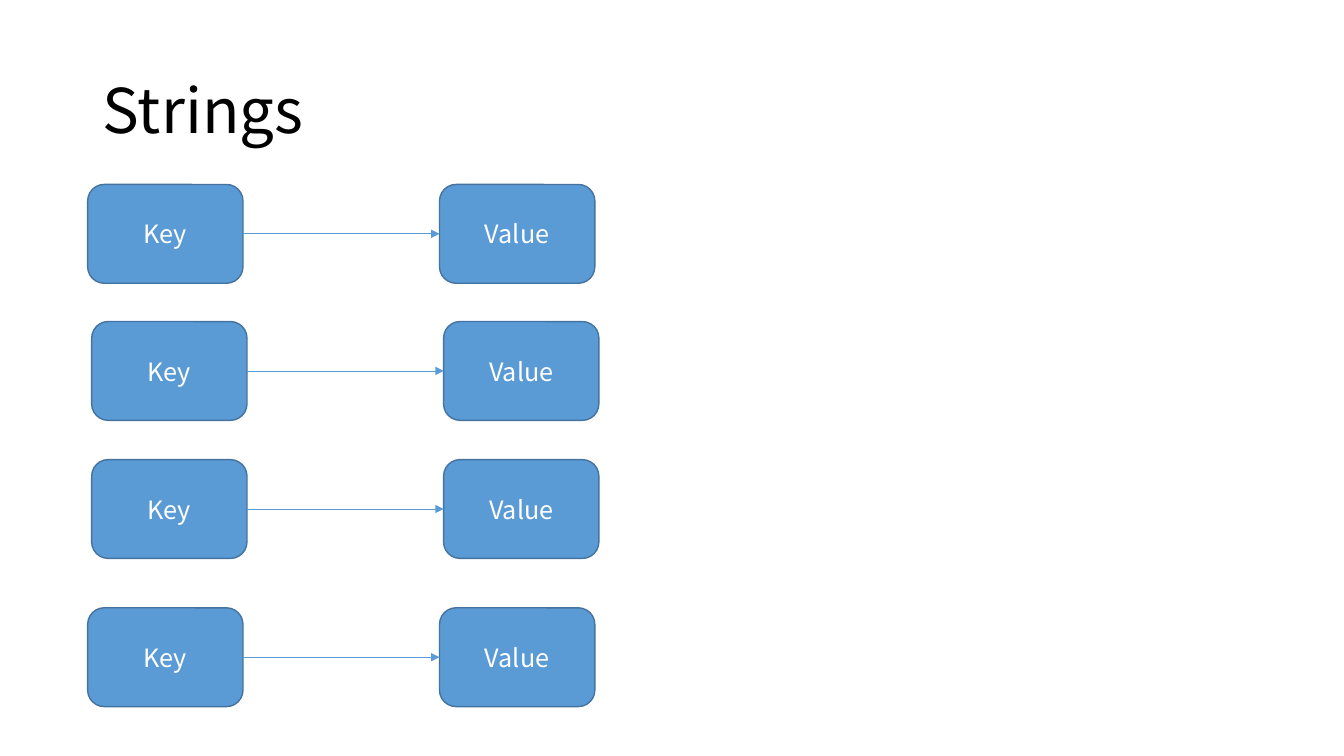
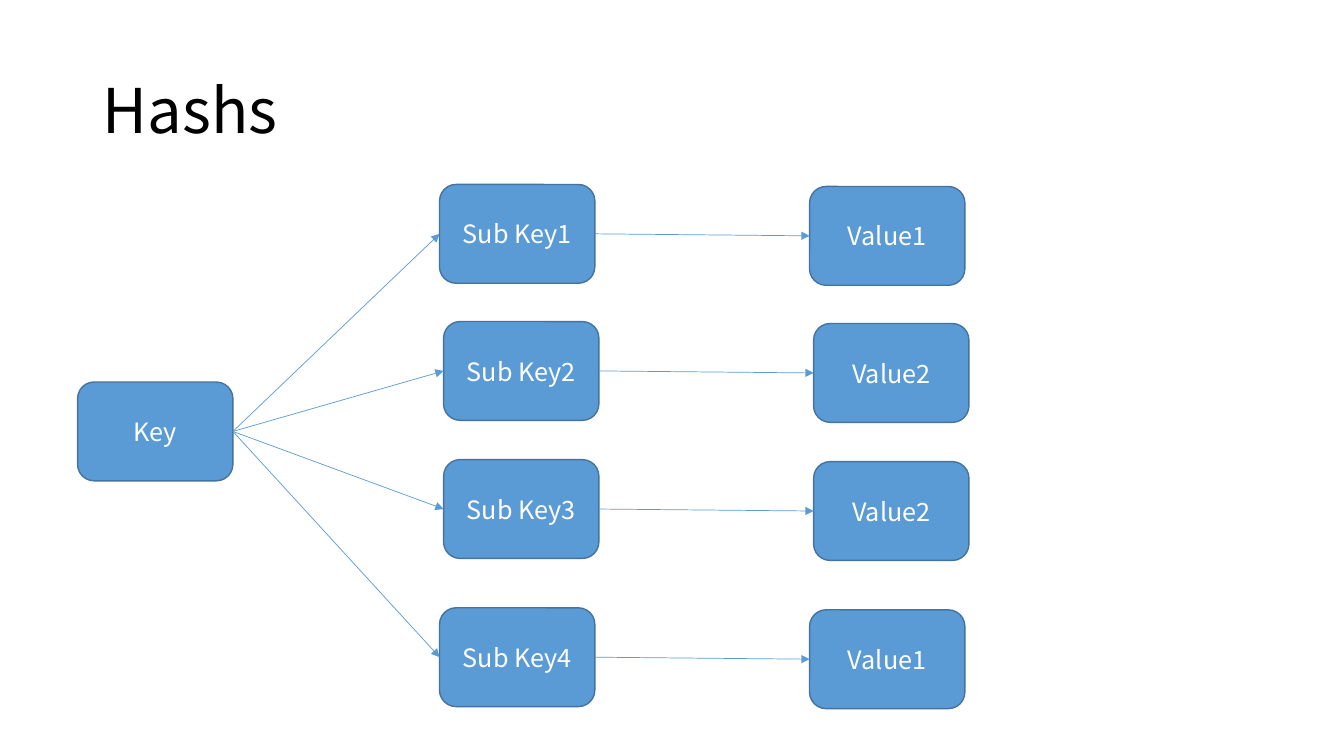
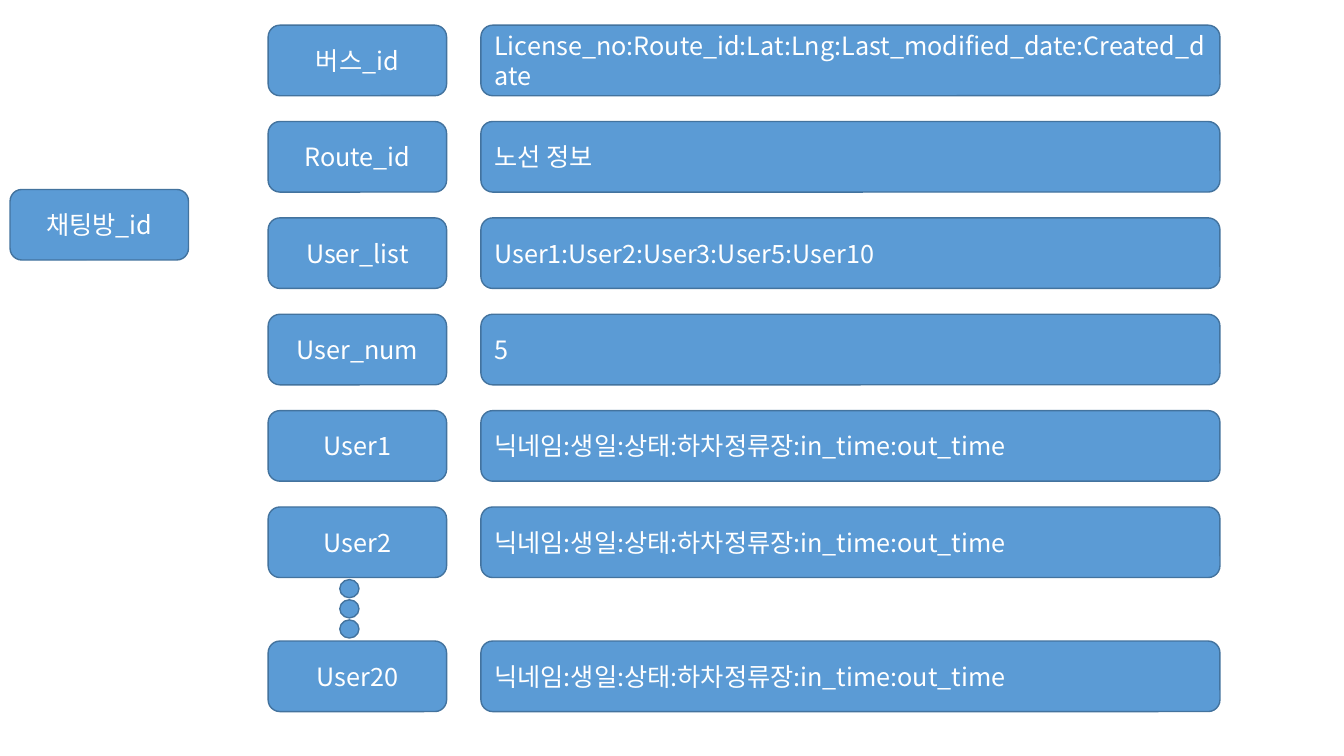
from dataclasses import dataclass

from lxml import etree
from pptx import Presentation
from pptx.dml.color import RGBColor
from pptx.enum.shapes import MSO_CONNECTOR, MSO_SHAPE
from pptx.enum.text import MSO_ANCHOR, MSO_AUTO_SIZE, PP_ALIGN
from pptx.oxml.ns import qn
from pptx.util import Inches, Pt

ROUNDED = MSO_SHAPE.ROUNDED_RECTANGLE
OVAL = MSO_SHAPE.OVAL
STRAIGHT = MSO_CONNECTOR.STRAIGHT
MIDDLE = MSO_ANCHOR.MIDDLE
NO_FIT = MSO_AUTO_SIZE.NONE
LEFT = PP_ALIGN.LEFT
CENTER = PP_ALIGN.CENTER
TITLE_ONLY, BLANK = 5, 6
LEFT_SITE, RIGHT_SITE = 1, 3


@dataclass(frozen=True)
class Theme:
    font: str = "Noto Sans CJK KR"
    fill: RGBColor = RGBColor(0x5B, 0x9B, 0xD5)
    outline: RGBColor = RGBColor(0x43, 0x73, 0x9E)
    title_color: RGBColor = RGBColor(0, 0, 0)
    node_color: RGBColor = RGBColor(0xFF, 0xFF, 0xFF)
    title_size: float = 44
    node_size: float = 18
    outline_width: float = 1
    arrow_width: float = 0.5


@dataclass(frozen=True)
class Box:
    left: float
    top: float
    width: float
    height: float

    def inside(self, left, top, width, height):
        return Box(self.left + left, self.top + top, width, height)

    def lengths(self):
        return [Inches(value) for value in (self.left, self.top, self.width, self.height)]


THEME = Theme()
TITLE_BOX = Box(0.92, 0.4, 11.5, 1.45)
DIAGRAM = Box(0.77, 1.83, 8.84, 5.2)
RECORD = Box(0.1, 0.25, 12, 6.81)
NODE_WIDTH, NODE_HEIGHT = 1.54, 0.98
NODE_ROWS = [(0, 0), (0.04, 1.36), (0.04, 2.73), (0, 4.2)]
FIELD_HEIGHT, FIELD_PITCH = 0.7, 0.956
PROFILE = "닉네임:생일:상태:하차정류장:in_time:out_time"
FIELDS = [
    ("버스_id", "License_no:Route_id:Lat:Lng:Last_modified_date:Created_date"),
    ("Route_id", "노선 정보"),
    ("User_list", "User1:User2:User3:User5:User10"),
    ("User_num", "5"),
    ("User1", PROFILE),
    ("User2", PROFILE),
]
LAST_FIELD = ("User20", PROFILE)


def write(frame, text, size, color, align):
    frame.word_wrap = True
    frame.auto_size = NO_FIT
    frame.vertical_anchor = MIDDLE
    para = frame.paragraphs[0]
    para.alignment = align
    span = para.add_run()
    span.text = text
    span.font.name = THEME.font
    span.font.size = Pt(size)
    span.font.color.rgb = color
    east_asian = etree.SubElement(span.font._element, qn("a:ea"))
    east_asian.set("typeface", THEME.font)
    return para


def add_figure(page, kind, box):
    shape = page.shapes.add_shape(kind, *box.lengths())
    shape.shadow.inherit = False
    shape.fill.solid()
    shape.fill.fore_color.rgb = THEME.fill
    shape.line.color.rgb = THEME.outline
    shape.line.width = Pt(THEME.outline_width)
    return shape


def add_node(page, box, text, align=CENTER):
    node = add_figure(page, ROUNDED, box)
    write(node.text_frame, text, THEME.node_size, THEME.node_color, align)
    return node


def add_arrow(page, source, target):
    arrow = page.shapes.add_connector(STRAIGHT, 0, 0, 0, 0)
    arrow.begin_connect(source, RIGHT_SITE)
    arrow.end_connect(target, LEFT_SITE)
    arrow.line.color.rgb = THEME.fill
    arrow.line.width = Pt(THEME.arrow_width)
    etree.SubElement(arrow.line._get_or_add_ln(), qn("a:tailEnd")).set("type", "triangle")
    etree.SubElement(arrow._element.spPr, qn("a:effectLst"))


def add_titled_page(deck, text):
    page = deck.slides.add_slide(deck.slide_layouts[TITLE_ONLY])
    title = page.shapes.title
    title.left, title.top, title.width, title.height = TITLE_BOX.lengths()
    para = write(title.text_frame, text, THEME.title_size, THEME.title_color, LEFT)
    para.line_spacing = 0.9
    return page


def add_node_column(page, box, left, texts, drop=0):
    return [
        add_node(page, box.inside(left + shift, top + drop, NODE_WIDTH, NODE_HEIGHT), text)
        for (shift, top), text in zip(NODE_ROWS, texts)
    ]


def add_strings_page(deck, box):
    page = add_titled_page(deck, "Strings")
    keys = add_node_column(page, box, 0.1, ["Key"] * 4)
    values = add_node_column(page, box, 3.59, ["Value"] * 4)
    for key, value in zip(keys, values):
        add_arrow(page, key, value)


def add_hashes_page(deck, box):
    page = add_titled_page(deck, "Hashs")
    key = add_node(page, box.inside(0, 1.96, NODE_WIDTH, NODE_HEIGHT), "Key")
    sub_keys = add_node_column(page, box, 3.59, [f"Sub Key{number}" for number in range(1, 5)])
    values = add_node_column(page, box, 7.26, ["Value1", "Value2", "Value2", "Value1"], 0.02)
    for sub_key, value in zip(sub_keys, values):
        add_arrow(page, key, sub_key)
        add_arrow(page, sub_key, value)


def add_field(page, box, top, name, value):
    add_node(page, box.inside(2.56, top, 1.77, FIELD_HEIGHT), name)
    add_node(page, box.inside(4.67, top, 7.33, FIELD_HEIGHT), value, LEFT)


def add_record_page(deck, box):
    page = deck.slides.add_slide(deck.slide_layouts[BLANK])
    add_node(page, box.inside(0, 1.63, 1.77, FIELD_HEIGHT), "채팅방_id")
    for row, (name, value) in enumerate(FIELDS):
        add_field(page, box, row * FIELD_PITCH, name, value)
    add_field(page, box, box.height - FIELD_HEIGHT, *LAST_FIELD)
    for dot in range(3):
        add_figure(page, OVAL, box.inside(3.27, 5.5 + dot * 0.2, 0.19, 0.18))


def main():
    deck = Presentation()
    deck.slide_width = Inches(13.33)
    deck.slide_height = Inches(7.5)
    add_strings_page(deck, DIAGRAM)
    add_hashes_page(deck, DIAGRAM)
    add_record_page(deck, RECORD)
    deck.save("out.pptx")


if __name__ == "__main__":
    main()
